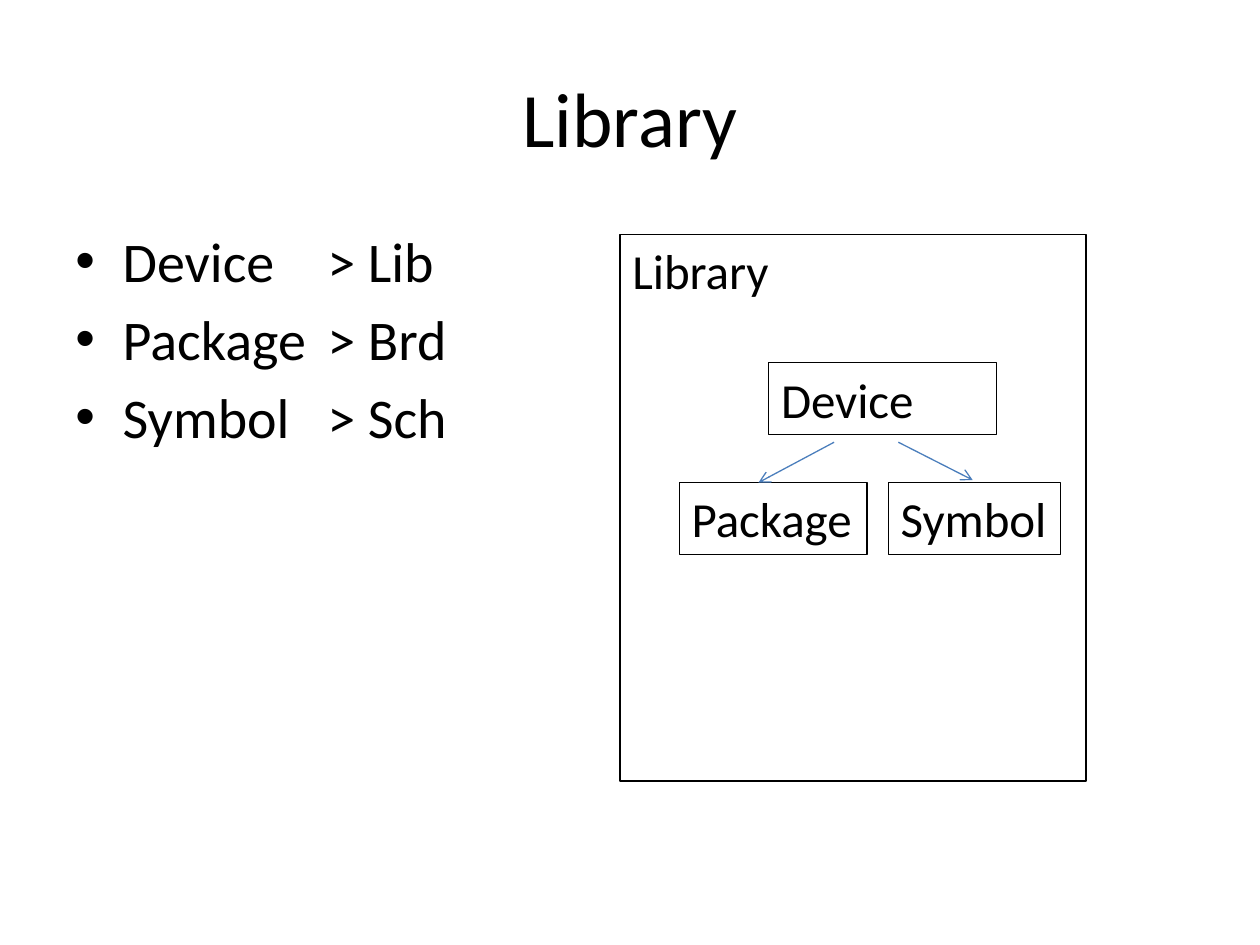
from dataclasses import dataclass

from lxml import etree
from pptx import Presentation
from pptx.dml.color import RGBColor
from pptx.enum import shapes, text
from pptx.oxml.ns import qn
from pptx.util import Inches, Pt

WIDTH, HEIGHT = Inches(10), Inches(7.5)
COLUMNS, ROWS = 100, 75
BLACK, BLUE = "000000", "4B7EBC"
FONT = "Calibri"


@dataclass
class Area:
    column: float
    row: float
    columns: float
    rows: float


@dataclass
class Block:
    label: str
    area: Area
    wrap: bool = True


@dataclass
class Arrow:
    start: tuple[float, float]
    end: tuple[float, float]


BLOCKS = [
    Block("Device", Area(61, 28.8, 18.1, 5.7)),
    Block("Symbol", Area(70.5, 38.3, 13.7, 5.7), wrap=False),
    Block("Package", Area(53.9, 38.3, 14.9, 5.7), wrap=False),
    Block("Library", Area(49.2, 18.6, 37, 43.4)),
]
ARROWS = [
    Arrow((66.2, 35.1), (60.2, 38.3)),
    Arrow((71.3, 35.1), (77.2, 38.1)),
]
ROLES = ["Device\t> Lib", "Package\t> Brd", "Symbol\t> Sch"]


def across(columns: float) -> int:
    return round(WIDTH * columns / COLUMNS)


def down(rows: float) -> int:
    return round(HEIGHT * rows / ROWS)


def place(area: Area) -> tuple[int, int, int, int]:
    return across(area.column), down(area.row), across(area.columns), down(area.rows)


def color(value: str) -> RGBColor:
    return RGBColor.from_string(value)


def add_bullet(para, indent: int) -> None:
    properties = para._p.get_or_add_pPr()
    properties.set("marL", str(indent))
    properties.set("indent", str(-indent))
    etree.SubElement(properties, qn("a:buFont"), typeface="Arial")
    etree.SubElement(properties, qn("a:buChar"), char="•")


def write(box, content: str, *, size: float, align=text.PP_ALIGN.LEFT,
          anchor=text.MSO_ANCHOR.TOP, wrap: bool = True,
          bullet: bool = False, gap: float = 0) -> None:
    frame = box.text_frame
    frame.word_wrap = wrap
    frame.vertical_anchor = anchor
    for index, line in enumerate(content.split("\n")):
        para = frame.add_paragraph() if index else frame.paragraphs[0]
        para.alignment = align
        if index:
            para.space_before = Pt(gap)
        if bullet:
            add_bullet(para, across(3.75))
        span = para.add_run()
        span.text = line
        span.font.name = FONT
        span.font.size = Pt(size)
        span.font.color.rgb = color(BLACK)


def draw_block(page, block: Block) -> None:
    box = page.shapes.add_shape(shapes.MSO_SHAPE.RECTANGLE, *place(block.area))
    box.shadow.inherit = False
    box.fill.background()
    box.line.color.rgb = color(BLACK)
    box.line.width = Pt(0.75)
    write(box, block.label, size=28, wrap=block.wrap)


def draw_arrow(page, arrow: Arrow) -> None:
    (left, top), (right, bottom) = arrow.start, arrow.end
    line = page.shapes.add_connector(
        shapes.MSO_CONNECTOR.STRAIGHT,
        across(left), down(top), across(right), down(bottom))
    line.line.color.rgb = color(BLUE)
    line.line.width = Pt(0.75)
    etree.SubElement(line.line._get_or_add_ln(), qn("a:tailEnd"), type="arrow")
    etree.SubElement(line._element.spPr, qn("a:effectLst"))


def main() -> None:
    deck = Presentation()
    deck.slide_width, deck.slide_height = WIDTH, HEIGHT
    page = deck.slides.add_slide(deck.slide_layouts[6])

    title = page.shapes.add_textbox(*place(Area(5, 3, 90, 12.5)))
    write(title, "Library", size=44, align=text.PP_ALIGN.CENTER,
          anchor=text.MSO_ANCHOR.MIDDLE)
    roles = page.shapes.add_textbox(*place(Area(5, 17.5, 90, 49.5)))
    write(roles, "\n".join(ROLES), size=32, bullet=True, gap=6)

    for block in BLOCKS:
        draw_block(page, block)
    for arrow in ARROWS:
        draw_arrow(page, arrow)
    deck.save("out.pptx")


if __name__ == "__main__":
    main()
